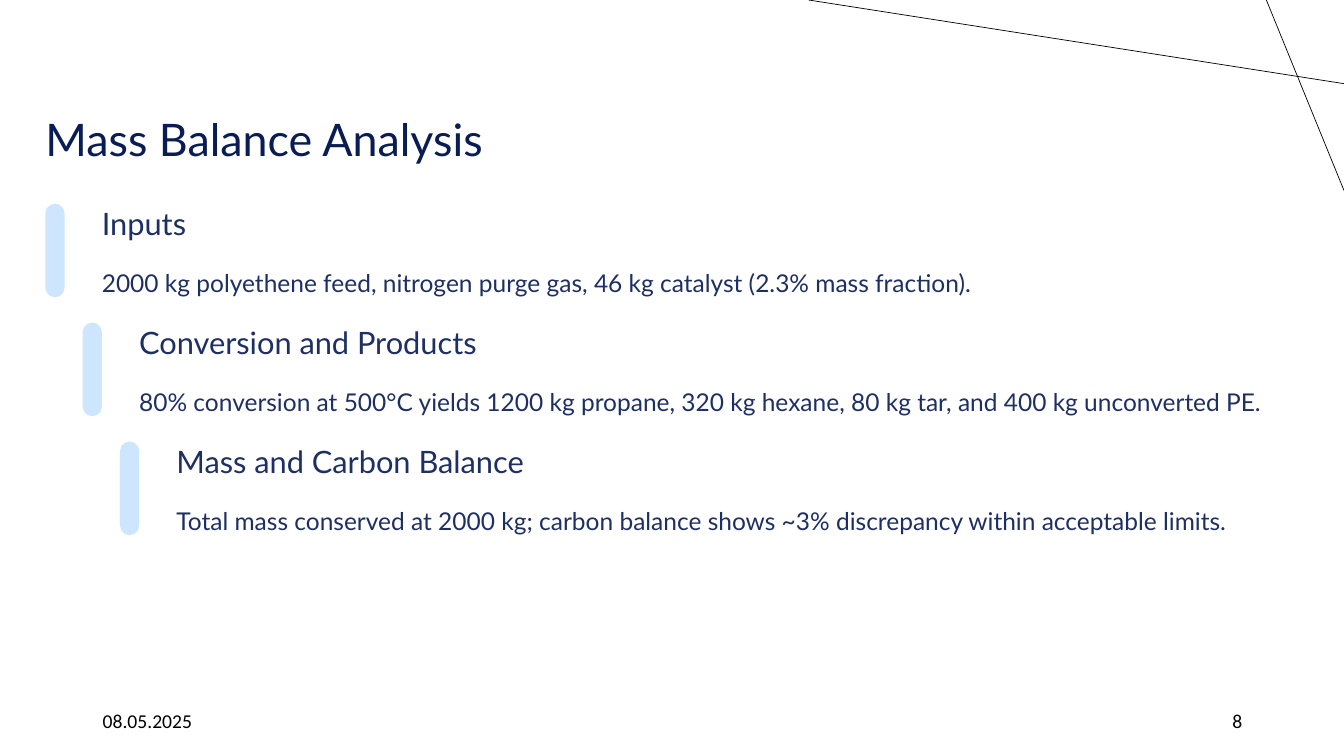
from lxml import etree
from pptx import Presentation, util as u
from pptx.dml.color import RGBColor
from pptx.enum import shapes, text
from pptx.oxml import ns

PX = 9144  # EMU per px, 100 px to the inch
SLIDE_W, SLIDE_H = 1333, 750

NAVY = RGBColor(0x09, 0x1C, 0x53)
INDIGO = RGBColor(0x1E, 0x30, 0x63)
PALE_BLUE = RGBColor(0xCE, 0xE6, 0xFD)
BLACK = RGBColor(0, 0, 0)

TITLE = dict(name="Lato", size=u.Pt(32))
HEADING = dict(name="Lato", size=u.Pt(22))
DETAIL = dict(name="Lato", size=u.Pt(17.5))
FOOTER = dict(name="Calibri", size=u.Pt(14))

STEPS = [
    ("Inputs",
     "2000 kg polyethene feed, nitrogen purge gas, 46 kg catalyst (2.3% mass fraction)."),
    ("Conversion and Products",
     "80% conversion at 500°C yields 1200 kg propane, 320 kg hexane, 80 kg tar, "
     "and 400 kg unconverted PE."),
    ("Mass and Carbon Balance",
     "Total mass conserved at 2000 kg; carbon balance shows ~3% discrepancy "
     "within acceptable limits."),
]


def px(*lengths):
    return [u.Emu(length * PX) for length in lengths]


def write(box, words, font, color, spacing=None, align=text.PP_ALIGN.LEFT,
          anchor=text.MSO_ANCHOR.TOP, wrap=False, margins=(0, 0)):
    """Fill a text box or placeholder with one formatted paragraph."""
    frame = box.text_frame
    side, end = px(*margins)
    frame_format = dict(
        margin_left=side, margin_right=side, margin_top=end, margin_bottom=end,
        word_wrap=wrap, vertical_anchor=anchor, auto_size=text.MSO_AUTO_SIZE.NONE)
    for key, value in frame_format.items():
        setattr(frame, key, value)
    paragraph = frame.paragraphs[0]
    paragraph.text = words
    paragraph.alignment = align
    if spacing:
        paragraph.line_spacing = u.Pt(spacing)
    for key, value in font.items():
        setattr(paragraph.font, key, value)
    paragraph.font.color.rgb = color


def add_corner_lines(slide, left, top, width, height):
    """Two thin lines crossing in the top right corner."""
    right = left + width
    for ends in ((right, top + 83, left, top),
                 (right - 77, top, right, top + height)):
        line = slide.shapes.add_connector(shapes.MSO_CONNECTOR.STRAIGHT, *px(*ends))
        line.line.color.rgb = BLACK
        line.line.width = u.Pt(0.5)
        etree.SubElement(line._element.spPr, ns.qn("a:effectLst"))


def add_title(slide, left, top, width, height):
    title = slide.shapes.title
    title.left, title.top, title.width, title.height = px(left, top, width, height)
    write(title, "Mass Balance Analysis", TITLE, NAVY, spacing=55.5)


def add_step(slide, left, top, width, height, heading, detail):
    """A rounded bar with a heading and one line of detail beside it."""
    bar = slide.shapes.add_shape(
        shapes.MSO_SHAPE.ROUNDED_RECTANGLE, *px(left, top, 19, height))
    bar.adjustments[0] = 0.5
    bar.shadow.inherit = False
    bar.fill.solid()
    bar.fill.fore_color.rgb = PALE_BLUE
    bar.line.fill.background()

    indent = 56
    for words, font, offset, spacing in ((heading, HEADING, 0, 27.5),
                                         (detail, DETAIL, 54, 28.5)):
        box = slide.shapes.add_textbox(
            *px(left + indent, top + offset, width - indent, 40))
        write(box, words, font, INDIGO, spacing)


def add_steps(slide, left, top, width, height):
    """Steps that move down and to the right by equal amounts."""
    shift, pitch = 37, 118
    bar_height = height - pitch * (len(STEPS) - 1)
    for i, (heading, detail) in enumerate(STEPS):
        add_step(slide, left + i * shift, top + i * pitch,
                 width - i * shift, bar_height, heading, detail)


def add_footer(slide, left, top, width, height):
    part_width = 300
    for words, x, align in (
            ("08.05.2025", left, text.PP_ALIGN.LEFT),
            ("8", left + width - part_width, text.PP_ALIGN.RIGHT)):
        box = slide.shapes.add_textbox(*px(x, top, part_width, height))
        write(box, words, FOOTER, BLACK, align=align,
              anchor=text.MSO_ANCHOR.MIDDLE, wrap=True, margins=(10, 5))


def main():
    deck = Presentation()
    deck.slide_width, deck.slide_height = px(SLIDE_W, SLIDE_H)
    slide = deck.slides.add_slide(deck.slide_layouts.get_by_name("Title Only"))
    add_corner_lines(slide, 802, 0, SLIDE_W - 802, 189)
    add_title(slide, 45, 87, 651, 78)
    add_steps(slide, 45, 202, SLIDE_W - 45, 329)
    add_footer(slide, 92, 695, 1150, 40)
    deck.save("out.pptx")


if __name__ == "__main__":
    main()
